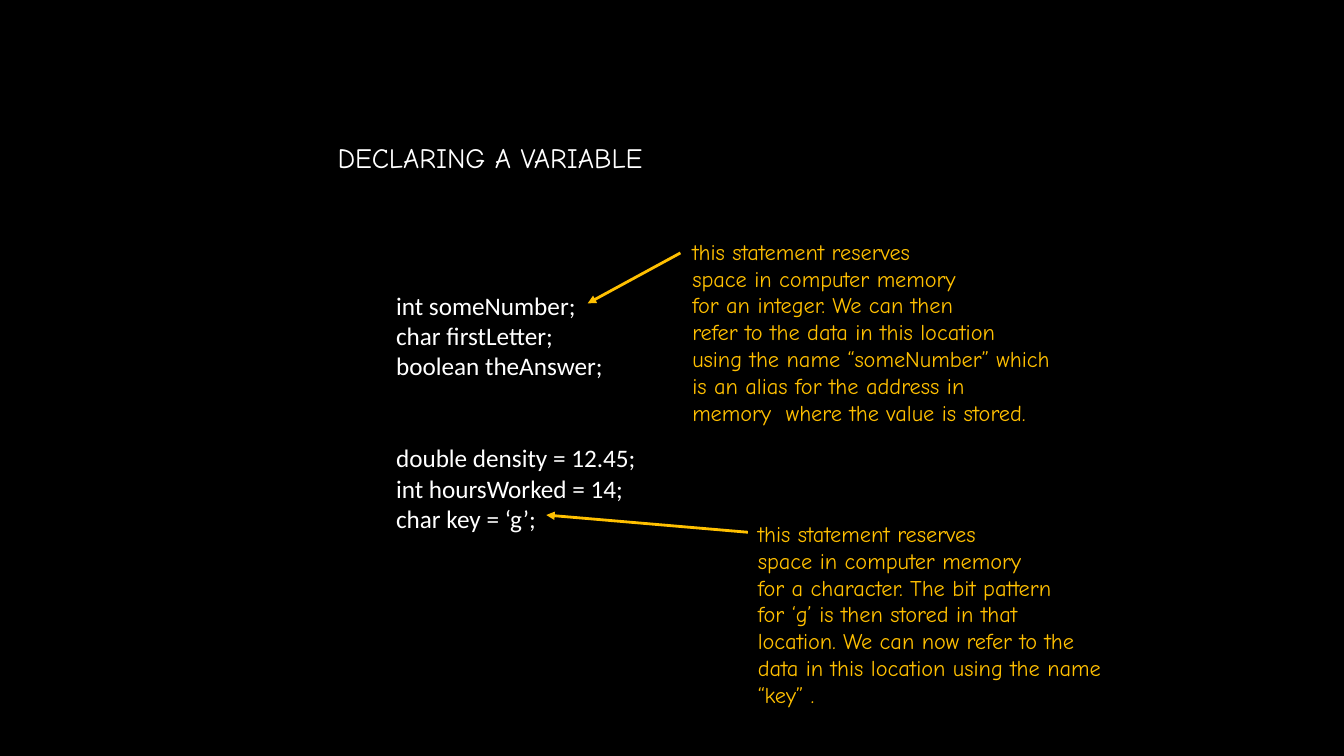
from lxml.etree import SubElement
from pptx import Presentation
from pptx.dml.color import RGBColor
from pptx.enum.shapes import MSO_CONNECTOR
from pptx.enum.text import MSO_ANCHOR
from pptx.oxml.ns import qn
from pptx.util import Pt

WHITE, GOLD = "FFFFFF", "FFC000"
HAND, PLAIN = "Comic Neue", "Calibri"

TITLE = "DECLARING A VARIABLE"
CODE = [
    ["int someNumber;", "char firstLetter;", "boolean theAnswer;"],
    ["double density = 12.45;", "int hoursWorked = 14;", "char key = ‘g’;"],
]
GROUP_GAP = 44

# Each note: box, arrow start, arrow tip, lines
NOTES = [
    ((487.4, 166.3, 288.7, 143.3), (486, 180.7), (419.8, 216.7), [
        "this statement reserves",
        "space in computer memory",
        "for an integer. We can then",
        "refer to the data in this location",
        "using the name “someNumber” which",
        "is an alias for the address in",
        "memory  where the value is stored.",
    ]),
    ((534.2, 367.9, 281.5, 141.8), (534.2, 380.2), (390.2, 367.9), [
        "this statement reserves",
        "space in computer memory",
        "for a character. The bit pattern",
        "for ‘g’ is then stored in that",
        "location. We can now refer to the",
        "data in this location using the name",
        "“key” .",
    ]),
]


def paint(color, code):
    color.rgb = RGBColor.from_string(code)


def add_text(slide, box, groups, font, size, code, anchor=MSO_ANCHOR.TOP):
    """Write groups of lines, with a gap before each group but the first."""
    frame = slide.shapes.add_textbox(*map(Pt, box)).text_frame
    frame.word_wrap = True
    frame.vertical_anchor = anchor
    lines = [(g and not i, line) for g, group in enumerate(groups)
             for i, line in enumerate(group)]
    frame.text = "\n".join(line for _, line in lines)
    for para, (gap, _) in zip(frame.paragraphs, lines):
        para.font.name, para.font.size = font, Pt(size)
        paint(para.font.color, code)
        if gap:
            para.space_before = Pt(GROUP_GAP)


def add_arrow(slide, start, tip):
    arrow = slide.shapes.add_connector(
        MSO_CONNECTOR.STRAIGHT, *map(Pt, start + tip))
    arrow.line.width = Pt(2)
    arrow.line.fill.solid()
    paint(arrow.line.fill.fore_color, GOLD)
    SubElement(arrow.line._get_or_add_ln(), qn("a:tailEnd"), type="triangle")
    SubElement(arrow._element.spPr, qn("a:effectLst"))


def main():
    deck = Presentation()
    deck.slide_width, deck.slide_height = Pt(960), Pt(540)
    slide = deck.slides.add_slide(deck.slide_layouts[6])
    back = slide.background.fill
    back.solid()
    paint(back.fore_color, "000000")

    add_text(slide, (234, 70.6, 437.8, 84.2), [[TITLE]], HAND, 20, WHITE,
             MSO_ANCHOR.MIDDLE)
    add_text(slide, (275.8, 203.8, 187.9, 203.8), CODE, PLAIN, 18, WHITE)
    for box, start, tip, lines in NOTES:
        add_text(slide, box, [lines], HAND, 16, GOLD)
        add_arrow(slide, start, tip)
    deck.save("out.pptx")


if __name__ == "__main__":
    main()
